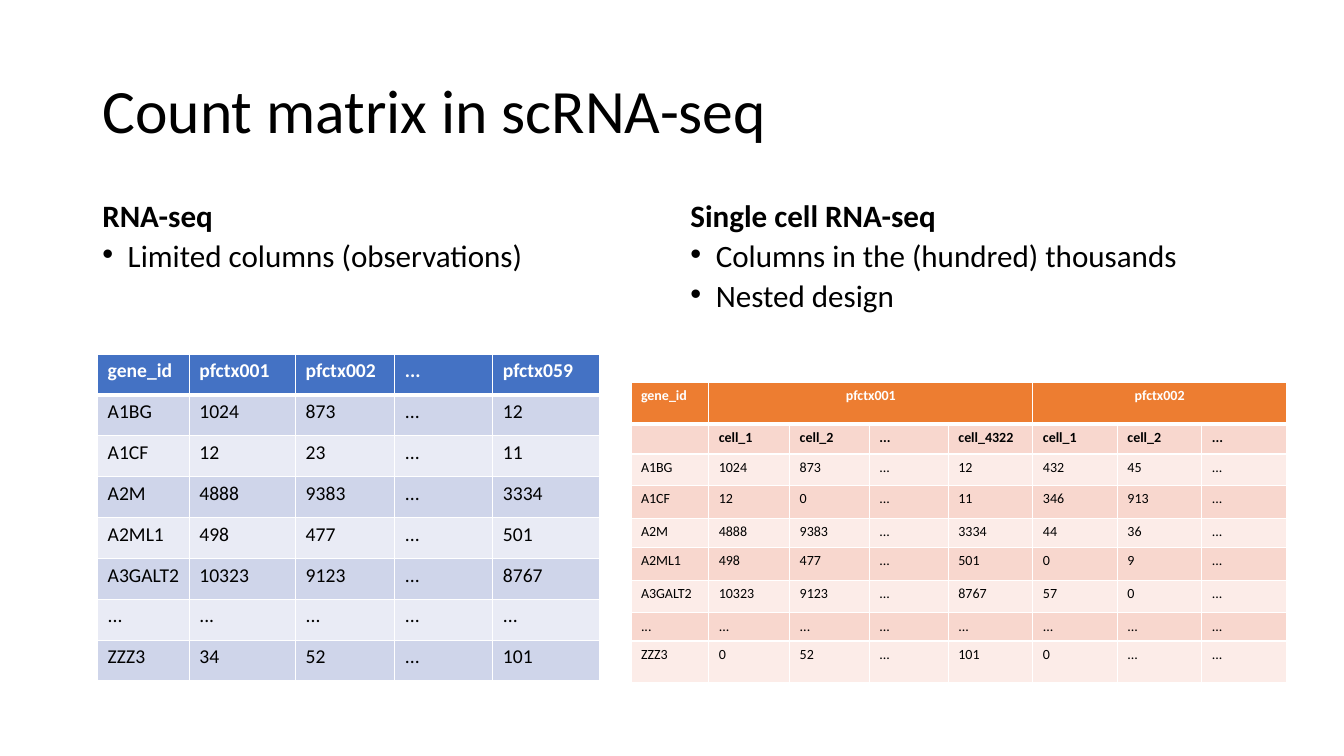
from dataclasses import dataclass

from lxml import etree
from pptx import Presentation
from pptx.dml.color import RGBColor
from pptx.enum.text import MSO_ANCHOR, MSO_AUTO_SIZE, PP_ALIGN
from pptx.oxml.ns import qn
from pptx.util import Cm, Pt

MIDDLE = MSO_ANCHOR.MIDDLE
NO_FIT = MSO_AUTO_SIZE.NONE
LEFT, CENTER = PP_ALIGN.LEFT, PP_ALIGN.CENTER


@dataclass(frozen=True)
class Theme:
    """Font, type sizes and colours of the slide."""
    font: str = "Calibri"
    title: float = 44
    body: float = 22.2
    bulk_cell: float = 14
    single_cell: float = 10
    ink: str = "000000"
    paper: str = "FFFFFF"
    blue: tuple = ("4472C4", "CFD5EA", "E9EBF5")
    orange: tuple = ("ED7D31", "F8D7CE", "FCECE8")


THEME = Theme()

BULK_COUNTS = [row.split() for row in (
    "gene_id pfctx001 pfctx002 ... pfctx059",
    "A1BG 1024 873 ... 12",
    "A1CF 12 23 ... 11",
    "A2M 4888 9383 ... 3334",
    "A2ML1 498 477 ... 501",
    "A3GALT2 10323 9123 ... 8767",
    "... ... ... ... ...",
    "ZZZ3 34 52 ... 101",
)]
SINGLE_CELL_COUNTS = [
    ["gene_id", "pfctx001", "", "", "", "pfctx002", "", ""],
    ["", "cell_1", "cell_2", "...", "cell_4322", "cell_1", "cell_2", "..."],
] + [row.split() for row in (
    "A1BG 1024 873 ... 12 432 45 ...",
    "A1CF 12 0 ... 11 346 913 ...",
    "A2M 4888 9383 ... 3334 44 36 ...",
    "A2ML1 498 477 ... 501 0 9 ...",
    "A3GALT2 10323 9123 ... 8767 57 0 ...",
    "... ... ... ... ... ... ... ...",
    "ZZZ3 0 52 ... 101 0 ... ...",
)]


def format_runs(p, size, color, bold=False):
    """Apply the theme font with a size, colour and weight to a paragraph's runs."""
    for r in p.runs:
        r.font.name = THEME.font
        r.font.size = Pt(size)
        r.font.bold = bold
        r.font.color.rgb = RGBColor.from_string(color)


def add_bullet(p):
    """Give a paragraph a round bullet with a hanging indent."""
    pPr = p._p.get_or_add_pPr()
    pPr.set("marL", str(Cm(0.64)))
    pPr.set("indent", str(-Cm(0.64)))
    etree.SubElement(pPr, qn("a:buFont")).set("typeface", "Arial")
    etree.SubElement(pPr, qn("a:buChar")).set("char", "•")


def set_borders(cell, top, bottom):
    """Draw white cell borders with the given top and bottom widths in points."""
    tcPr = cell._tc.get_or_add_tcPr()
    for side, width in (("L", 1), ("R", 1), ("T", top), ("B", bottom)):
        ln = etree.SubElement(tcPr, qn(f"a:ln{side}"), w=str(Pt(width)))
        fill = etree.SubElement(ln, qn("a:solidFill"))
        etree.SubElement(fill, qn("a:srgbClr"), val=THEME.paper)


def place_title(s, text, left, top, width, height):
    """Move the title placeholder into its box and format it."""
    sp = s.shapes.title
    sp.left, sp.top, sp.width, sp.height = left, top, width, height
    tf = sp.text_frame
    tf.text = text
    tf.auto_size = NO_FIT
    tf.vertical_anchor = MIDDLE
    p = tf.paragraphs[0]
    p.alignment = LEFT
    p.line_spacing = 0.9
    format_runs(p, THEME.title, THEME.ink)


def add_points(s, heading, points, left, top, width, height):
    """Add a bold heading with bulleted points below it."""
    tf = s.shapes.add_textbox(left, top, width, height).text_frame
    tf.word_wrap = True
    tf.text = "\n".join([heading, *points])
    for i, p in enumerate(tf.paragraphs):
        if i:
            add_bullet(p)
            p.space_before = Pt(10)
        p.line_spacing = 0.7
        format_runs(p, THEME.body, THEME.ink, bold=i == 0)


def add_counts(s, rows, left, top, widths, heights, size, colors, bold_rows=1, spans=()):
    """Add a banded count matrix; spans lists first and last merged header columns."""
    table = s.shapes.add_table(len(rows), len(widths), left, top,
                               Cm(sum(widths)), Cm(sum(heights))).table
    table.first_row = table.horz_banding = False
    for column, width in zip(table.columns, widths):
        column.width = Cm(width)
    for row, height in zip(table.rows, heights):
        row.height = Cm(height)
    header, *bands = colors
    for i, row in enumerate(rows):
        for j, text in enumerate(row):
            cell = table.cell(i, j)
            set_borders(cell, 3 if i == 1 else 1, 1 if i else 3)
            cell.fill.solid()
            cell.fill.fore_color.rgb = RGBColor.from_string(bands[(i - 1) % 2] if i else header)
            p = cell.text_frame.paragraphs[0]
            p.text = text
            format_runs(p, size, THEME.ink if i else THEME.paper, bold=i < bold_rows)
            if not text:
                etree.SubElement(p._p, qn("a:endParaRPr"), sz=str(size * 100))
    for first, last in spans:
        cell = table.cell(0, first)
        cell.merge(table.cell(0, last))
        cell.text_frame.paragraphs[0].alignment = CENTER


def main():
    """Build the slide and save it."""
    prs = Presentation()
    prs.slide_width, prs.slide_height = Cm(33.87), Cm(19.05)
    s = prs.slides.add_slide(prs.slide_layouts[5])
    margin, text_top, text_width, text_height = Cm(2.33), Cm(5.08), Cm(14.4), Cm(3.15)
    place_title(s, "Count matrix in scRNA-seq", margin, Cm(1.01), Cm(29.21), Cm(3.68))
    add_points(s, "RNA-seq", ["Limited columns (observations)"],
               margin, text_top, text_width, text_height)
    add_points(s, "Single cell RNA-seq",
               ["Columns in the (hundred) thousands", "Nested design"],
               Cm(17.15), text_top, text_width, text_height)
    add_counts(s, BULK_COUNTS, Cm(2.46), Cm(8.92), [2.31, 2.68, 2.5, 2.47, 2.68],
               [1.03] * len(BULK_COUNTS), THEME.bulk_cell, THEME.blue)
    add_counts(s, SINGLE_CELL_COUNTS, Cm(15.9), Cm(9.64),
               [1.96, 2.04, 2.01, 1.99] + [2.13] * 4,
               [1.04, 0.76, 0.79, 0.83, 0.74, 0.83, 0.81, 0.71, 1.04],
               THEME.single_cell, THEME.orange, bold_rows=2, spans=((1, 4), (5, 7)))
    prs.save("out.pptx")


if __name__ == "__main__":
    main()
